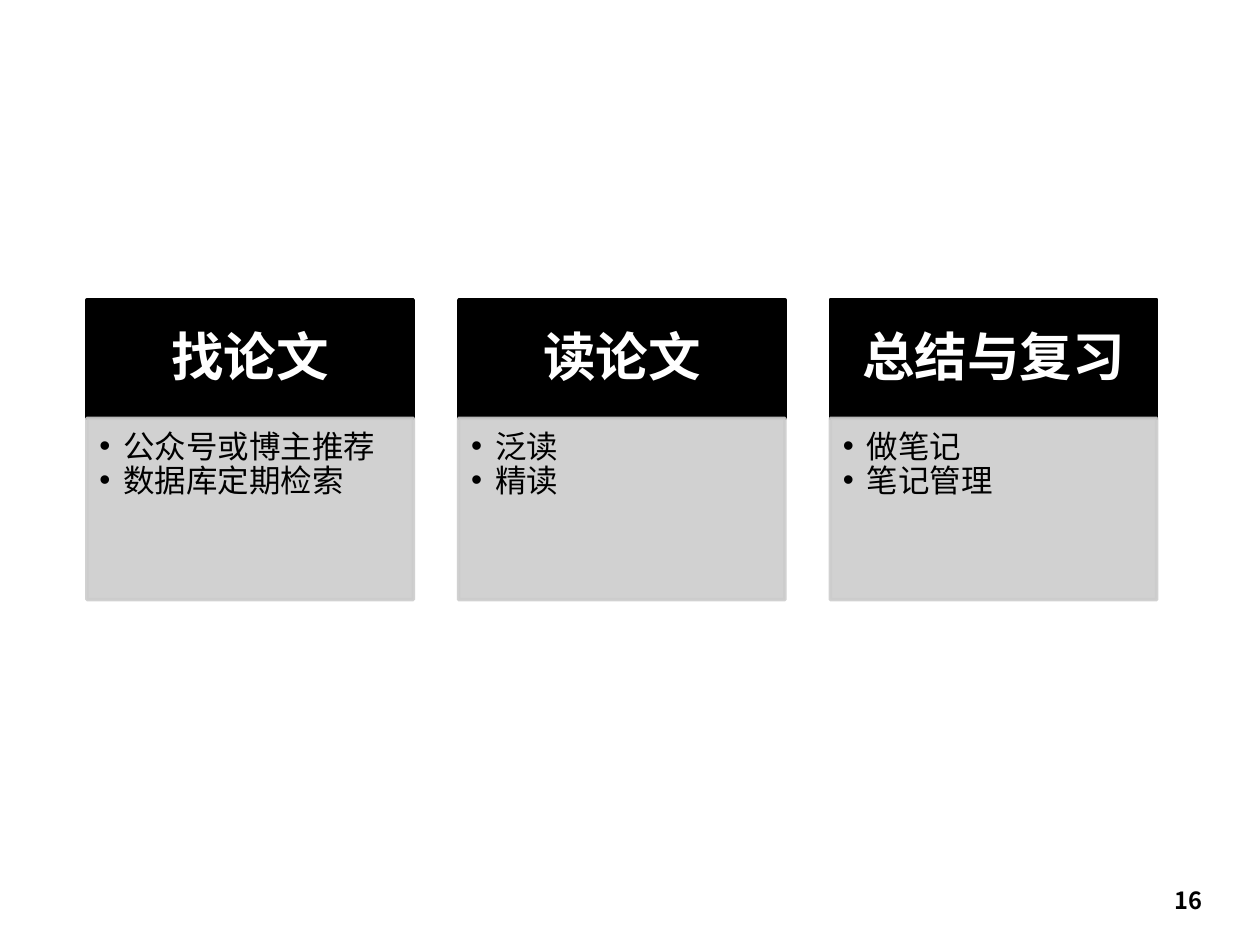
import pptx
import pptx.dml.color
import pptx.enum.shapes
import pptx.enum.text
import pptx.oxml.ns
import pptx.util
from lxml import etree

Inches = pptx.util.Inches
Pt = pptx.util.Pt
RGBColor = pptx.dml.color.RGBColor
PP_ALIGN = pptx.enum.text.PP_ALIGN
MSO_ANCHOR = pptx.enum.text.MSO_ANCHOR
qn = pptx.oxml.ns.qn

BLACK = RGBColor(0x00, 0x00, 0x00)
WHITE = RGBColor(0xFF, 0xFF, 0xFF)
GREY = RGBColor(0xCC, 0xCC, 0xCC)
CJK_FONT = "Noto Sans CJK SC"

STEPS = [
    ("找论文", ["公众号或博主推荐", "数据库定期检索"]),
    ("读论文", ["泛读", "精读"]),
    ("总结与复习", ["做笔记", "笔记管理"]),
]
PAGE_NUMBER = "16"

LEFT, TOP = 0.69, 2.38
COLUMN_WIDTH, COLUMN_PITCH = 2.59, 2.95
HEADER_HEIGHT, BODY_HEIGHT = 0.94, 1.44
BULLET_INDENT = 0.19

HEADER = {
    "fill": BLACK, "opacity": 100, "margins": (0.23, 0.13, 0.23, 0.13),
    "anchor": MSO_ANCHOR.MIDDLE, "bulleted": False,
    "paragraph": {"alignment": PP_ALIGN.CENTER, "line_spacing": 0.9},
    "font": {"name": "Times New Roman", "size": Pt(30), "bold": True}, "color": WHITE,
}
BODY = {
    "fill": GREY, "opacity": 90, "margins": (0.1, 0.1, 0.14, 0.16),
    "anchor": MSO_ANCHOR.TOP, "bulleted": True,
    "paragraph": {"alignment": PP_ALIGN.LEFT, "line_spacing": 0.9, "level": 1},
    "font": {"name": CJK_FONT, "size": Pt(18), "bold": False}, "color": BLACK,
}
NUMBER = {
    "margins": (0.1, 0.05, 0.1, 0.05), "anchor": MSO_ANCHOR.TOP, "bulleted": False,
    "paragraph": {"alignment": PP_ALIGN.RIGHT},
    "font": {"name": CJK_FONT, "size": Pt(13.5), "bold": True}, "color": BLACK,
}


def set_attributes(target, values):
    for name, value in values.items():
        setattr(target, name, value)


def add_bullet(paragraph):
    properties = paragraph._p.get_or_add_pPr()
    properties.set("marL", str(Inches(BULLET_INDENT)))
    properties.set("indent", str(-Inches(BULLET_INDENT)))
    etree.SubElement(properties, qn("a:buFont"), typeface="Arial")
    etree.SubElement(properties, qn("a:buChar"), char="•")


def write_text(shape, lines, style):
    frame = shape.text_frame
    frame.word_wrap = True
    frame.vertical_anchor = style["anchor"]
    sides = ("margin_left", "margin_top", "margin_right", "margin_bottom")
    set_attributes(frame, dict(zip(sides, map(Inches, style["margins"]))))
    for index, line in enumerate(lines):
        paragraph = frame.add_paragraph() if index else frame.paragraphs[0]
        set_attributes(paragraph, style["paragraph"])
        if style["bulleted"]:
            add_bullet(paragraph)
        run = paragraph.add_run()
        run.text = line
        set_attributes(run.font, style["font"])
        run.font.color.rgb = style["color"]
        etree.SubElement(run._r.get_or_add_rPr(), qn("a:ea"), typeface=CJK_FONT)


def add_box(slide, left, top, height, lines, style):
    shape = slide.shapes.add_shape(
        pptx.enum.shapes.MSO_SHAPE.RECTANGLE,
        Inches(left), Inches(top), Inches(COLUMN_WIDTH), Inches(height))
    shape.shadow.inherit = False
    shape.fill.solid()
    shape.fill.fore_color.rgb = style["fill"]
    shape.line.color.rgb = style["fill"]
    shape.line.width = Pt(2)
    if style["opacity"] < 100:
        for color in shape.element.spPr.findall(".//" + qn("a:srgbClr")):
            etree.SubElement(color, qn("a:alpha"), val=str(style["opacity"] * 1000))
    write_text(shape, lines, style)


def main():
    presentation = pptx.Presentation()
    presentation.slide_width = Inches(10)
    presentation.slide_height = Inches(7.5)
    slide = presentation.slides.add_slide(presentation.slide_layouts[6])

    for column, (heading, points) in enumerate(STEPS):
        left = LEFT + column * COLUMN_PITCH
        add_box(slide, left, TOP, HEADER_HEIGHT, [heading], HEADER)
        add_box(slide, left, TOP + HEADER_HEIGHT, BODY_HEIGHT, points, BODY)

    number_box = slide.shapes.add_textbox(
        Inches(8.39), Inches(6.98), Inches(1.25), Inches(0.33))
    write_text(number_box, [PAGE_NUMBER], NUMBER)
    presentation.save("out.pptx")


if __name__ == "__main__":
    main()
